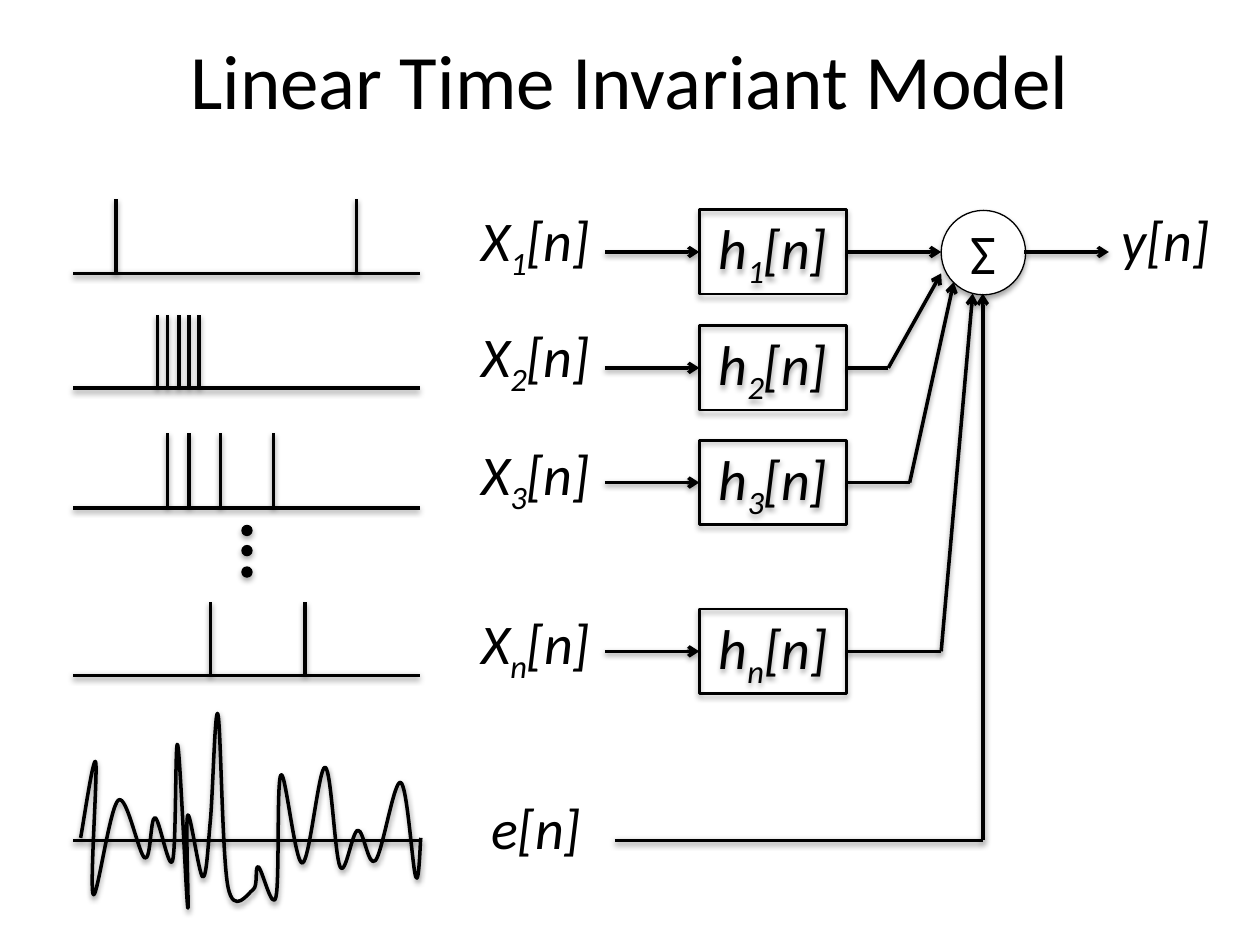
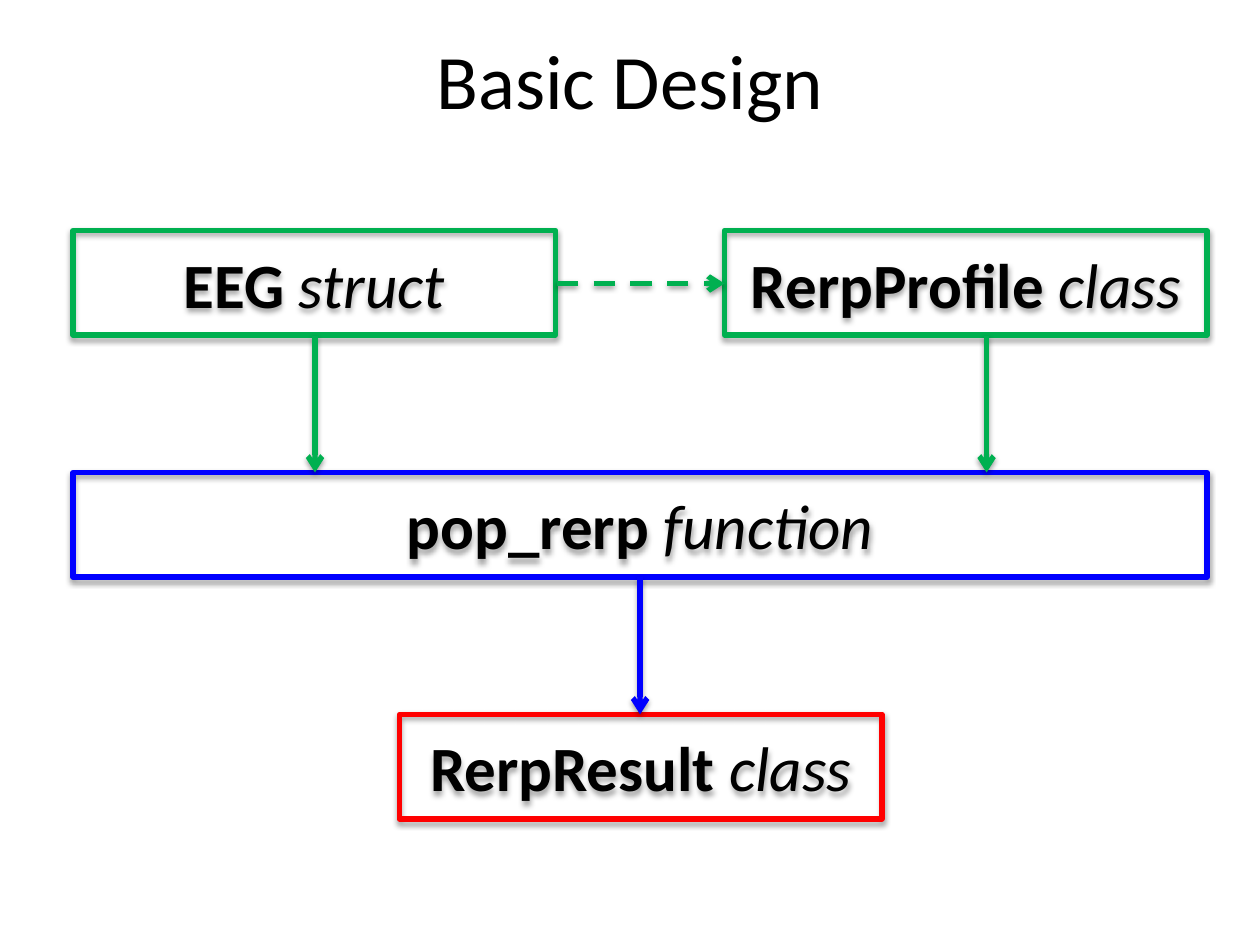
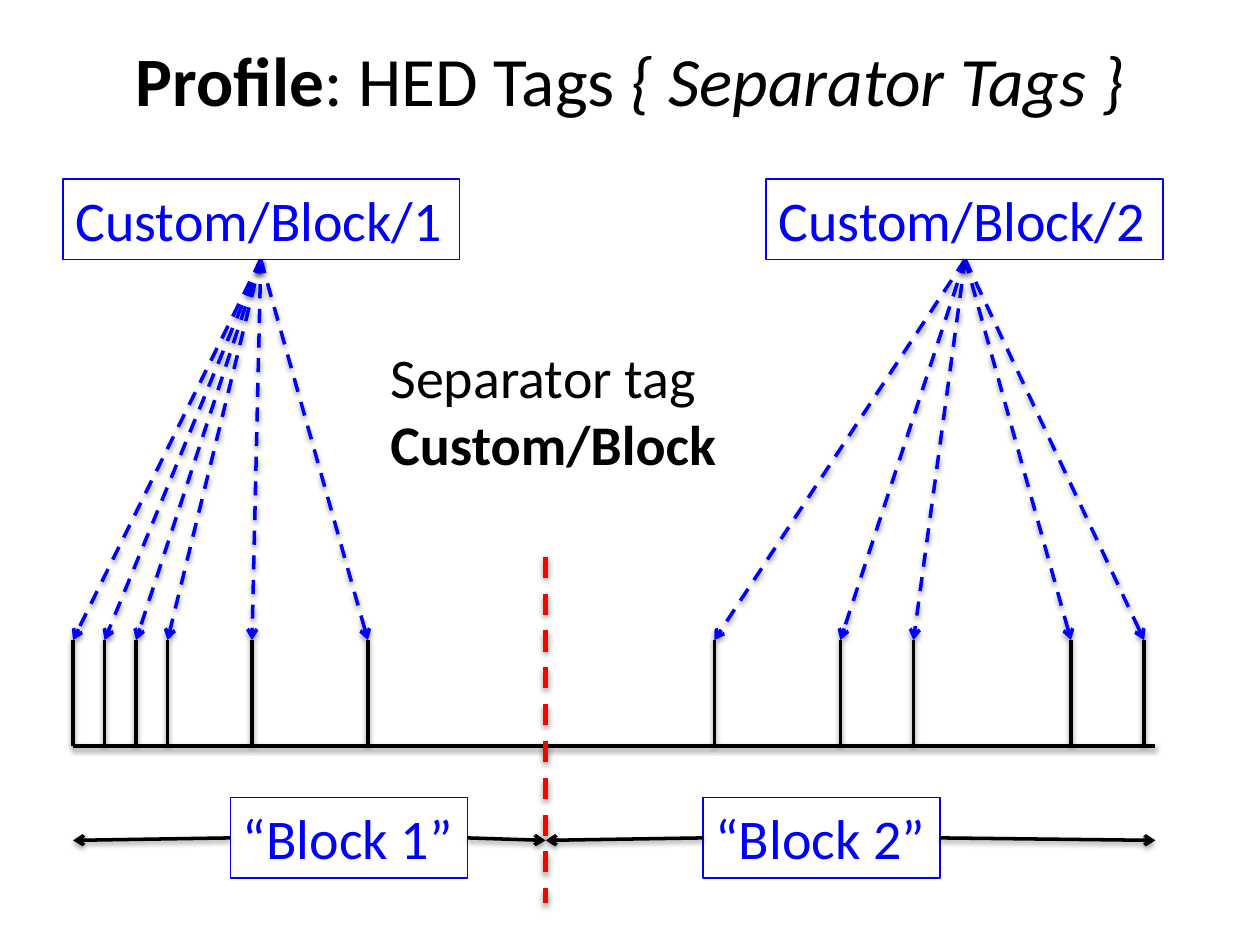
from dataclasses import dataclass
from itertools import chain

from lxml import etree
from pptx import Presentation
from pptx.dml.color import RGBColor
from pptx.enum.dml import MSO_LINE
from pptx.enum.shapes import MSO_CONNECTOR, MSO_SHAPE
from pptx.enum.text import MSO_ANCHOR, MSO_AUTO_SIZE, PP_ALIGN
from pptx.oxml.ns import qn
from pptx.util import Inches, Pt

RECT, OVAL = MSO_SHAPE.RECTANGLE, MSO_SHAPE.OVAL
STRAIGHT = MSO_CONNECTOR.STRAIGHT
DASH = MSO_LINE.DASH
CENTER, LEFT = PP_ALIGN.CENTER, PP_ALIGN.LEFT
MIDDLE, TOP = MSO_ANCHOR.MIDDLE, MSO_ANCHOR.TOP
GROW = MSO_AUTO_SIZE.SHAPE_TO_FIT_TEXT


@dataclass(frozen=True)
class Theme:
    font: str = "Calibri"
    black: RGBColor = RGBColor(0, 0, 0)
    white: RGBColor = RGBColor(255, 255, 255)
    blue: RGBColor = RGBColor(0, 0, 255)
    green: RGBColor = RGBColor(0, 176, 80)
    red: RGBColor = RGBColor(255, 0, 0)
    title: float = 44
    small: float = 39.6
    large: float = 36
    body: float = 32
    thin: float = 0.75
    edge: float = 1.5
    line: float = 2
    bold: float = 3


THEME = Theme()
BOLD, ITALIC = {"bold": True}, {"italic": True}
WAVE = [
    (0.64, 6.65), (0.76, 6.05), (0.74, 7.1), (0.94, 6.35), (1.15, 6.81),
    (1.23, 6.49), (1.37, 6.83), (1.41, 5.91), (1.49, 7.2), (1.49, 6.47),
    (1.61, 6.96), (1.67, 6.51), (1.73, 5.67), (1.81, 7.04), (2.01, 7.06),
    (2.05, 6.88), (2.19, 7.12), (2.23, 6.15), (2.4, 6.85), (2.58, 6.09),
    (2.7, 6.88), (2.84, 6.59), (2.98, 6.83), (3.18, 6.21), (3.3, 6.96),
    (3.34, 6.65),
]


def inch(*sizes):
    return [Inches(size) for size in sizes]


def put(item, **form):
    for name, value in form.items():
        setattr(item, name, value)


def write(frame, *paras, size=THEME.body, color=THEME.black, align=LEFT):
    """Each paragraph is a list of (text, font values); "sub" lowers a run."""
    for num, runs in enumerate(paras):
        para = frame.add_paragraph() if num else frame.paragraphs[0]
        para.alignment = align
        for text, form in runs:
            run = para.add_run()
            run.text = text
            form = dict(form)
            if form.pop("sub", False):
                run._r.get_or_add_rPr().set("baseline", "-25000")
            put(run.font, name=THEME.font, size=Pt(size), **form)
            run.font.color.rgb = color


def term(name, mark):
    return [(name, ITALIC), (mark, {"italic": True, "sub": True}), ("[n]", ITALIC)]


def stroke(line, color, width, dash=None):
    line.color.rgb = color
    line.width = Pt(width)
    if dash:
        line.dash_style = dash


def page(deck, *runs, size=THEME.title):
    slide = deck.slides.add_slide(deck.slide_layouts[5])
    title = slide.shapes.title
    left, top, width, height = inch(0.5, 0, 9, 1.25)
    put(title, left=left, top=top, width=width, height=height)
    title.text_frame.vertical_anchor = MIDDLE
    write(title.text_frame, runs, size=size, align=CENTER)
    return slide.shapes


def wire(shapes, start, end, color=THEME.black, width=THEME.line, dash=None, arrow=False):
    link = shapes.add_connector(STRAIGHT, *inch(*start, *end))
    stroke(link.line, color, width, dash)
    if arrow:
        etree.SubElement(link.line._get_or_add_ln(), qn("a:tailEnd"), type="arrow")


def box(shapes, place, runs=(), kind=RECT, fill=None, color=THEME.black,
        width=THEME.thin, size=THEME.body):
    shape = shapes.add_shape(kind, *inch(*place))
    if fill is None:
        shape.fill.background()
    else:
        shape.fill.solid()
        shape.fill.fore_color.rgb = fill
    stroke(shape.line, color, width)
    if runs:
        shape.text_frame.vertical_anchor = MIDDLE
        write(shape.text_frame, runs, size=size, align=CENTER)


def label(shapes, place, *paras, color=THEME.black, wrap=False, frame=False):
    text = shapes.add_textbox(*inch(*place))
    put(text.text_frame, word_wrap=wrap, auto_size=GROW, vertical_anchor=TOP)
    write(text.text_frame, *paras, color=color)
    if frame:
        stroke(text.line, color, THEME.thin)


def ticks(shapes, spots, base, top):
    for spot in spots:
        wire(shapes, (spot, base), (spot, top))


def bends(knots):
    """Bezier handles and end of each part of a smooth curve through the knots."""
    ends = [knots[0], *knots, knots[-1]]
    for a, b, c, d in zip(ends, ends[1:], ends[2:], ends[3:]):
        yield ([q + (r - p) / 6 for p, q, r in zip(a, b, c)],
               [q - (r - p) / 6 for p, q, r in zip(b, c, d)], c)


def curve(shapes, knots):
    pen = shapes.build_freeform(*inch(*knots[0]))
    pen.add_line_segments([inch(*knot) for knot in knots[1:]], close=False)
    shape = pen.convert_to_shape()
    parts = list(shape._element.iter(qn("a:lnTo")))
    for part, dots in zip(parts, bends(knots)):
        part.tag = qn("a:cubicBezTo")
        part.clear()
        for x, y in dots:
            etree.SubElement(part, qn("a:pt"), x=str(Inches(x) - shape.left),
                             y=str(Inches(y) - shape.top))
    shape.fill.background()
    stroke(shape.line, THEME.black, THEME.line)
    next(shape._element.iter(qn("a:effectRef"))).set("idx", "1")


def model(deck):
    shapes = page(deck, ("Linear Time Invariant Model", {}))
    # mark, top, axis, tick spots, middle of the filter
    rows = [
        ("1", 1.58, 2.17, (0.92, 2.83), 2),
        ("2", 2.5, 3.08, (1.25, 1.33, 1.42, 1.5, 1.58), 2.92),
        ("3", 3.44, 4.03, (1.33, 1.5, 1.75, 2.17), 3.83),
        ("n", 4.78, 5.36, (1.67, 2.42), 5.17),
    ]
    for _, top, axis, spots, _ in rows:
        wire(shapes, (0.58, axis), (3.33, axis))
        ticks(shapes, spots, axis, top)
    dots = shapes.add_group_shape().shapes
    for top in (4.17, 4.33, 4.5):
        box(dots, (1.92, top, 0.08, 0.08), kind=OVAL, fill=THEME.black)
    for mark, top, _, _, mid in rows:
        label(shapes, (3.72, top, 1.22, 0.64), term("X", mark))
        box(shapes, (5.55, mid - 0.67 / 2, 1.17, 0.67), term("h", mark), width=THEME.edge)
    box(shapes, (7.47, 1.67, 0.67, 0.67), [("Σ", {})], OVAL, THEME.white)

    wire(shapes, (0.58, 6.67), (3.33, 6.67))
    label(shapes, (3.8, 6.25, 1.03, 0.64), [("e[n]", ITALIC)])
    label(shapes, (8.8, 1.58, 1.03, 0.64), [("y[n]", ITALIC)])
    curve(shapes, WAVE)

    # start, bend and end of each way into the sum
    ways = [
        ((4.88, 6.67), (7.8, 6.67), (7.8, 2.33)),
        ((6.72, 2.92), (7.05, 2.92), (7.47, 2.17)),
        ((6.72, 3.83), (7.22, 3.83), (7.57, 2.24)),
        ((6.72, 5.17), (7.47, 5.17), (7.72, 2.33)),
    ]
    for start, bend, end in ways:
        wire(shapes, start, bend)
        wire(shapes, bend, end, arrow=True)
    wire(shapes, (6.72, 2), (7.47, 2), arrow=True)
    for *_, mid in rows:
        wire(shapes, (4.8, mid), (5.55, mid), arrow=True)
    wire(shapes, (8.13, 2), (8.8, 2), arrow=True)


def design(deck):
    shapes = page(deck, ("Basic Design", {}))
    parts = [
        ("RerpResult ", "class", 3.17, 5.67, 3.83, THEME.red),
        ("pop_rerp ", "function", 0.58, 3.75, 9, THEME.blue),
        ("EEG ", "struct", 0.58, 1.83, 3.83, THEME.green),
        ("RerpProfile ", "class", 5.75, 1.83, 3.83, THEME.green),
    ]
    for name, kind, left, top, width, color in parts:
        box(shapes, (left, top, width, 0.83), [(name, BOLD), (kind, ITALIC)],
            color=color, width=THEME.bold, size=THEME.large)
    flows = [
        ((2.5, 2.67), (2.5, 3.75), THEME.green, None),
        ((7.83, 2.67), (7.83, 3.75), THEME.green, None),
        ((5.08, 4.58), (5.08, 5.67), THEME.blue, None),
        ((4.42, 2.25), (5.75, 2.25), THEME.green, DASH),
    ]
    for start, end, color, dash in flows:
        wire(shapes, start, end, color, THEME.bold, dash, arrow=True)


def tags(deck):
    shapes = page(deck, ("Profile", BOLD), (": HED Tags ", {}),
                  ("{ Separator Tags }", ITALIC), size=THEME.small)
    split, base, top = 4.33, 5.92, 5.08
    # number, tag left, tag middle, block left and right, span, event spots
    blocks = [
        ("1", 0.5, 2.07, (1.83, 3.71), (0.58, split), (0.58, 0.83, 1.08, 1.33, 2, 2.92)),
        ("2", 6.08, 7.66, (5.58, 7.46), (split, 9.17), (5.67, 6.67, 7.25, 8.5, 9.08)),
    ]
    wire(shapes, (0.58, base), (9.17, base))
    ticks(shapes, chain(*(block[-1] for block in blocks)), base, top)
    wire(shapes, (split, 4.42), (split, 7.17), THEME.red, THEME.bold, DASH)
    for num, _, _, sides, span, _ in blocks:
        label(shapes, (sides[0], 6.33, 1.88, 0.64), [(f"“Block {num}”", {})],
              color=THEME.blue, frame=True)
        for side, end in zip(sides, span):
            wire(shapes, (side, 6.65), (end, 6.67), arrow=True)
    for num, left, *_ in blocks:
        label(shapes, (left, 1.42, 3.15, 0.64), [(f"Custom/Block/{num}", {})],
              color=THEME.blue, frame=True)
    for _, _, mid, _, _, spots in blocks:
        for spot in spots:
            wire(shapes, (mid, 2.06), (spot, top), THEME.blue, dash=DASH, arrow=True)
    label(shapes, (3, 2.67, 3.17, 1.18), [("Separator tag", {})],
          [("Custom/Block", BOLD)], wrap=True)


def main():
    deck = Presentation()
    put(deck, slide_width=Inches(10), slide_height=Inches(7.5))
    for build in (model, design, tags):
        build(deck)
    deck.save("out.pptx")


if __name__ == "__main__":
    main()
